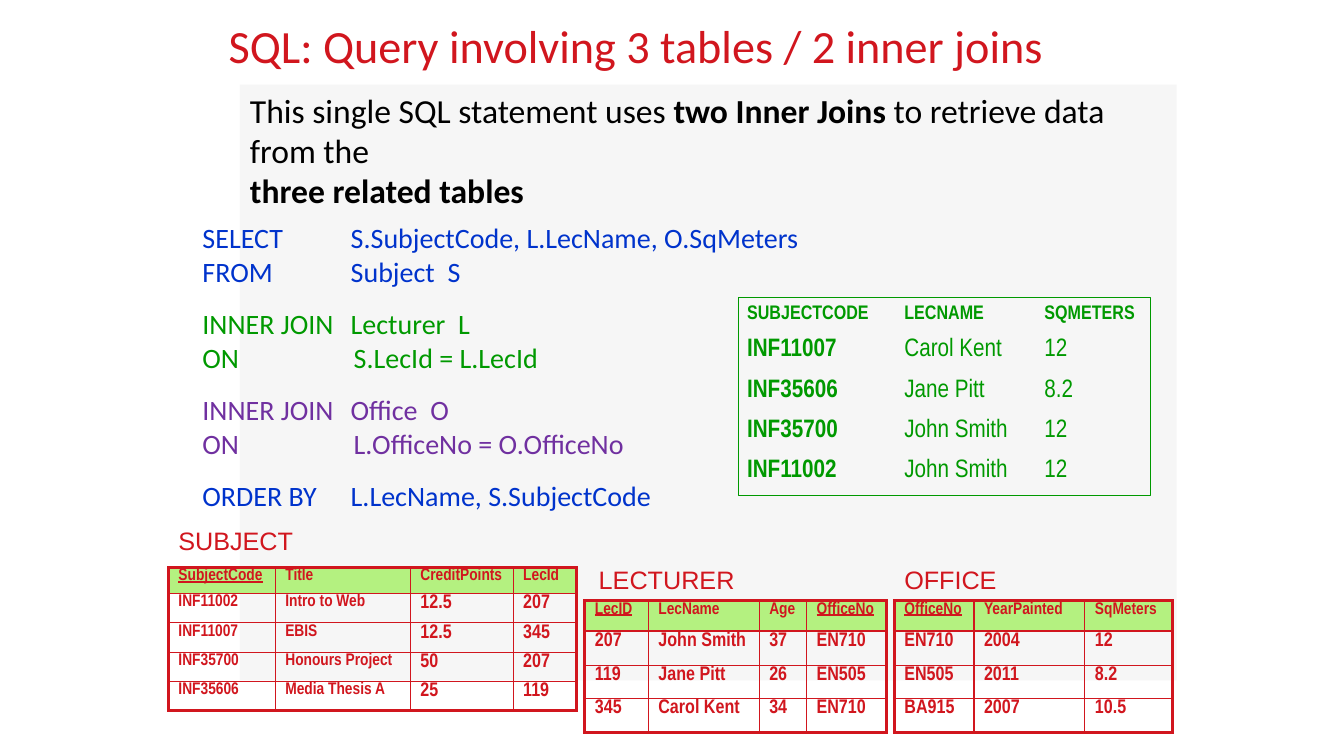
from dataclasses import dataclass

from lxml import etree
from pptx import Presentation
from pptx import util as u
from pptx.dml.color import RGBColor
from pptx.enum import shapes, text
from pptx.oxml.ns import qn

PX = 9144  # 100 px to the inch


@dataclass(frozen=True)
class Theme:
    red: str = "D1161E"
    blue: str = "0033CC"
    green: str = "009900"
    purple: str = "7030A0"
    black: str = "000000"
    panel: str = "F6F6F6"
    header: str = "B4F180"
    body_font: str = "Calibri"
    label_font: str = "Arial"
    table_font: str = "Arial Narrow"
    title: int = 33
    intro: int = 24
    query: int = 20
    label: int = 18
    result: int = 18
    cell: int = 14
    small: int = 12
    query_gap: float = 13.4
    thick: float = 2.25
    thin: float = 1
    frame: float = 0.75


THEME = Theme()


def px(*lengths):
    return [u.Emu(length * PX) for length in lengths]


def style(run, font, size, color, bold=False, underline=False):
    run.font.name = font
    run.font.size = u.Pt(size)
    run.font.color.rgb = RGBColor.from_string(color)
    run.font.bold = bold
    run.font.underline = underline


def add_text(slide, box, words, font, size, color, wrap=True):
    frame = slide.shapes.add_textbox(*px(*box)).text_frame
    frame.word_wrap = wrap
    frame.text = words
    for paragraph in frame.paragraphs:
        for run in paragraph.runs:
            style(run, font, size, color)
    return frame


def add_panel(slide, box, fill=None, line=None):
    panel = slide.shapes.add_shape(shapes.MSO_SHAPE.RECTANGLE, *px(*box))
    panel.shadow.inherit = False
    if fill:
        panel.fill.solid()
        panel.fill.fore_color.rgb = RGBColor.from_string(fill)
    else:
        panel.fill.background()
    if line:
        panel.line.color.rgb = RGBColor.from_string(line)
        panel.line.width = u.Pt(THEME.frame)
    else:
        panel.line.fill.background()
    return panel


def add_intro(slide):
    frame = add_panel(slide, (238, 84, 929, 591), fill=THEME.panel).text_frame
    frame.word_wrap = True
    frame.vertical_anchor = text.MSO_ANCHOR.TOP
    paragraph = frame.paragraphs[0]
    paragraph.alignment = text.PP_ALIGN.LEFT

    def add_words(words, bold):
        run = paragraph.add_run()
        run.text = words
        style(run, THEME.body_font, THEME.intro, THEME.black, bold)

    add_words("This single SQL statement uses", False)
    add_words(" two Inner Joins ", True)
    add_words("to retrieve data from the ", False)
    paragraph.add_line_break()
    add_words("three related tables", True)


def add_query(slide):
    clauses = [
        (THEME.blue, ["SELECT\tS.SubjectCode, L.LecName, O.SqMeters", "FROM\tSubject  S"]),
        (THEME.green, ["INNER JOIN\tLecturer  L", "ON\t\tS.LecId = L.LecId"]),
        (THEME.purple, ["INNER JOIN\tOffice  O", "ON\t\tL.OfficeNo = O.OfficeNo"]),
        (THEME.blue, ["ORDER BY\tL.LecName, S.SubjectCode"]),
    ]
    lines = [(color, line, i == 0) for color, group in clauses for i, line in enumerate(group)]
    frame = add_text(slide, (191, 214, 767, 303), "\n".join(line for _, line, _ in lines),
                     THEME.body_font, THEME.query, THEME.blue)
    for index, (paragraph, (color, _, starts_clause)) in enumerate(zip(frame.paragraphs, lines)):
        tabs = etree.SubElement(paragraph._p.get_or_add_pPr(), qn("a:tabLst"))
        for stop in px(147, 150):
            etree.SubElement(tabs, qn("a:tab"), pos=str(stop), algn="l")
        if starts_clause and index:
            paragraph.space_before = u.Pt(THEME.query_gap)
        for run in paragraph.runs:
            run.font.color.rgb = RGBColor.from_string(color)


def set_borders(cell, widths, color):
    """Widths come as left, right, top, bottom; zero means no line."""
    properties = cell._tc.get_or_add_tcPr()
    for side, width in zip("LRTB", widths):
        line = etree.SubElement(properties, qn(f"a:ln{side}"), w=str(u.Pt(width)))
        if width:
            fill = etree.SubElement(line, qn("a:solidFill"))
            etree.SubElement(fill, qn("a:srgbClr"), val=color)
        else:
            etree.SubElement(line, qn("a:noFill"))


def add_grid(slide, left, top, columns, heights, rows):
    box = px(left, top, sum(columns), sum(heights))
    grid = slide.shapes.add_table(len(rows), len(columns), *box).table
    grid.first_row = grid.horz_banding = False
    for column, width in zip(grid.columns, px(*columns)):
        column.width = width
    for row, height in zip(grid.rows, px(*heights)):
        row.height = height
    for r, row in enumerate(rows):
        for c, value in enumerate(row):
            cell = grid.cell(r, c)
            cell.text = value
            cell.margin_top, cell.margin_bottom = px(1, 0)
            yield r, c, cell


def add_data_table(slide, left, top, columns, heights, rows, keys, small_columns=()):
    last_row, last_column = len(rows) - 1, len(columns) - 1
    for r, c, cell in add_grid(slide, left, top, columns, heights, rows):
        edges = (c == 0, c == last_column, r == 0, r == last_row)
        set_borders(cell, [THEME.thick if edge else THEME.thin for edge in edges], THEME.red)
        if r == 0:
            cell.fill.solid()
            cell.fill.fore_color.rgb = RGBColor.from_string(THEME.header)
        else:
            cell.fill.background()
        size = THEME.small if r == 0 or c in small_columns else THEME.cell
        style(cell.text_frame.paragraphs[0].runs[0], THEME.table_font, size, THEME.red,
              bold=True, underline=r == 0 and c in keys)


def add_result(slide):
    rows = [
        ("SUBJECTCODE", "LECNAME", "SQMETERS"),
        ("INF11007", "Carol Kent", "12"),
        ("INF35606", "Jane Pitt", "8.2"),
        ("INF35700", "John Smith", "12"),
        ("INF11002", "John Smith", "12"),
    ]
    for r, c, cell in add_grid(slide, 731, 296, (156, 139, 122), [31] + [40] * 4, rows):
        set_borders(cell, [0] * 4, THEME.green)
        cell.fill.background()
        cell.vertical_anchor = text.MSO_ANCHOR.MIDDLE
        style(cell.text_frame.paragraphs[0].runs[0], THEME.table_font,
              THEME.result if r else THEME.cell, THEME.green, bold=r == 0 or c == 0)
    add_panel(slide, (732, 295, 409, 197), line=THEME.green)


def main():
    deck = Presentation()
    deck.slide_width, deck.slide_height = px(1333, 750)
    slide = deck.slides.add_slide(deck.slide_layouts[6])

    # Heading and introduction
    add_text(slide, (217, 12, 900, 116), "SQL: Query involving 3 tables / 2 inner joins",
             THEME.body_font, THEME.title, THEME.red)
    add_intro(slide)

    # Source tables
    add_data_table(slide, 167, 563, (106, 134, 102, 63), [26] + [29] * 4, [
        ("SubjectCode", "Title", "CreditPoints", "LecId"),
        ("INF11002", "Intro to Web", "12.5", "207"),
        ("INF11007", "EBIS", "12.5", "345"),
        ("INF35700", "Honours Project", "50", "207"),
        ("INF35606", "Media Thesis A", "25", "119"),
    ], keys=(0,), small_columns=(0, 1))
    staff_heights = (30, 34, 33, 34)
    add_data_table(slide, 580, 596, (63, 110, 47, 79), staff_heights, [
        ("LecID", "LecName", "Age", "OfficeNo"),
        ("207", "John Smith", "37", "EN710"),
        ("119", "Jane Pitt", "26", "EN505"),
        ("345", "Carol Kent", "34", "EN710"),
    ], keys=(0, 3))
    add_data_table(slide, 887, 596, (79, 110, 87), staff_heights, [
        ("OfficeNo", "YearPainted", "SqMeters"),
        ("EN710", "2004", "12"),
        ("EN505", "2011", "8.2"),
        ("BA915", "2007", "10.5"),
    ], keys=(0,))

    # Table names
    for name, left, top, width in (("SUBJECT", 167, 516, 137), ("LECTURER", 584, 555, 156),
                                   ("OFFICE", 887, 555, 112)):
        add_text(slide, (left, top, width, 40), name, THEME.label_font, THEME.label,
                 THEME.red, wrap=False)

    # Query and its result
    add_query(slide)
    add_result(slide)

    deck.save("out.pptx")


if __name__ == "__main__":
    main()
